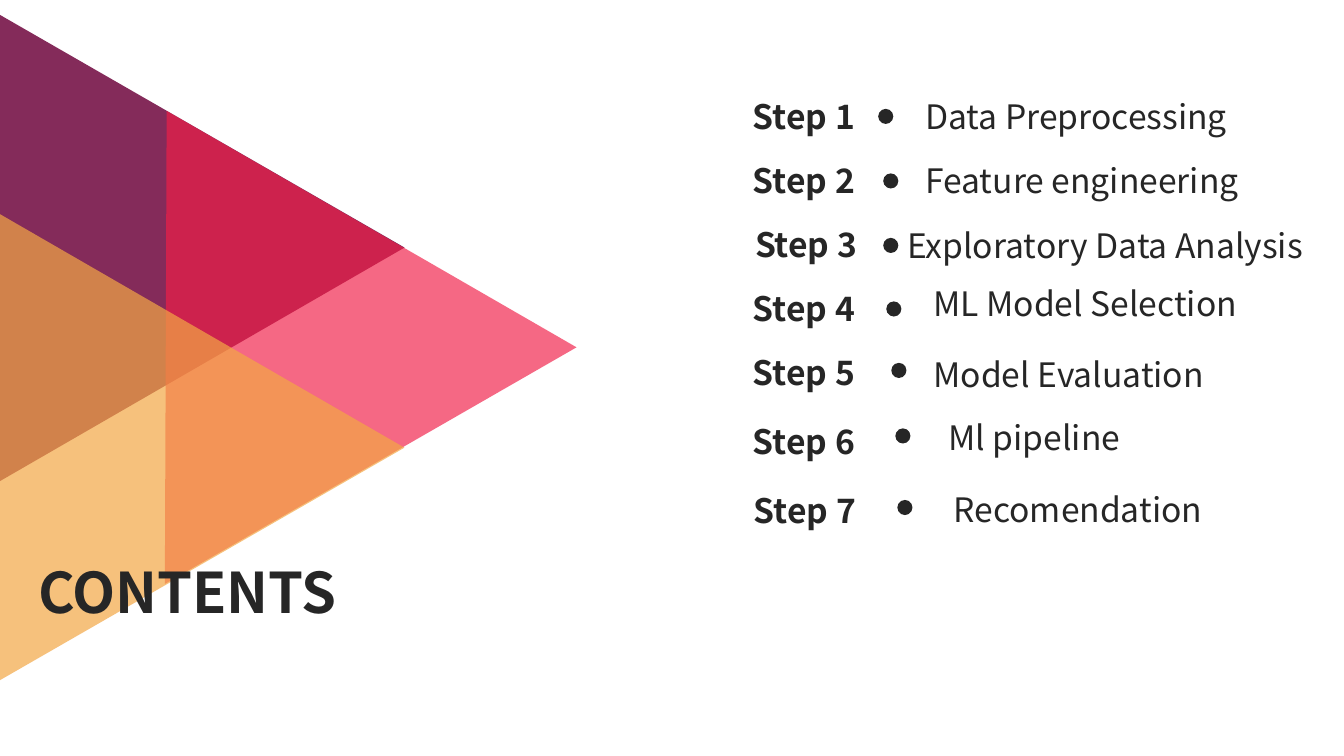
import pptx
import pptx.util
import pptx.dml.color
import pptx.enum.shapes
import pptx.enum.text
import pptx.oxml
import pptx.oxml.ns
from lxml import etree

Inches = pptx.util.Inches
RGBColor = pptx.dml.color.RGBColor
MSO_SHAPE = pptx.enum.shapes.MSO_SHAPE
PP_ALIGN = pptx.enum.text.PP_ALIGN

INK = RGBColor(0x26, 0x26, 0x26)
PLUM = RGBColor(0x84, 0x2B, 0x5A)
CRIMSON = RGBColor(0xF1, 0x1F, 0x48)
AMBER = RGBColor(0xF3, 0xA7, 0x45)

TRIANGLES = [
    (-1.34, -0.13, 4.66, 4.02, 330, PLUM, 100),
    (0.31, 0.83, 4.71, 4.06, 330.1, CRIMSON, 67),
    (-1.34, 1.85, 4.66, 4.02, 330.1, AMBER, 70),
]

STEPS = [
    ("Data Preprocessing", (7.37, 0.9), (8.71, 1.08), (9.08, 0.9)),
    ("Feature engineering", (7.37, 1.54), (8.76, 1.72), (9.08, 1.54)),
    ("Exploratory Data Analysis", (7.39, 2.17), (8.76, 2.36), (8.9, 2.18)),
    ("ML Model Selection", (7.37, 2.81), (8.79, 2.99), (9.16, 2.76)),
    ("Model Evaluation", (7.37, 3.44), (8.84, 3.6), (9.16, 3.46)),
    ("Ml pipeline", (7.37, 4.13), (8.88, 4.25), (9.31, 4.09)),
    ("Recomendation", (7.38, 4.81), (8.9, 4.96), (9.36, 4.8)),
]


class Deck:
    """Holds the text style and the current slide, and draws its elements."""

    font = "Noto Sans CJK SC"
    dot_size = 0.15

    def __init__(self, width, height):
        self.prs = pptx.Presentation()
        self.prs.slide_width = Inches(width)
        self.prs.slide_height = Inches(height)
        self.s = self.prs.slides.add_slide(self.prs.slide_layouts[6])

    def shape(self, kind, x, y, w, h, color):
        sp = self.s.shapes.add_shape(kind, Inches(x), Inches(y), Inches(w), Inches(h))
        sp.shadow.inherit = False
        sp.fill.solid()
        sp.fill.fore_color.rgb = color
        sp.line.fill.background()
        return sp

    def triangle(self, x, y, w, h, angle, color, opacity):
        sp = self.shape(MSO_SHAPE.ISOSCELES_TRIANGLE, x, y, w, h, color)
        sp.rotation = angle
        if opacity < 100:
            qn = pptx.oxml.ns.qn
            clr = sp.fill._xPr.find(qn("a:solidFill")).find(qn("a:srgbClr"))
            etree.SubElement(clr, qn("a:alpha")).set("val", str(opacity * 1000))

    def dot(self, x, y):
        self.shape(MSO_SHAPE.FLOWCHART_CONNECTOR, x, y, self.dot_size, self.dot_size, INK)

    def text(self, text, x, y, w, h=0.5, size=24, bold=False, align=PP_ALIGN.LEFT):
        tf = self.s.shapes.add_textbox(Inches(x), Inches(y), Inches(w), Inches(h)).text_frame
        tf.word_wrap = True
        p = tf.paragraphs[0]
        p.alignment = align
        r = p.add_run()
        r.text = text
        r.font.name = self.font
        r.font.size = pptx.util.Pt(size)
        r.font.bold = bold
        r.font.color.rgb = INK


def main():
    deck = Deck(13.33, 7.5)
    for triangle in TRIANGLES:
        deck.triangle(*triangle)
    deck.text("CONTENTS", 0.28, 5.48, 5.73, 0.77, size=40, bold=True, align=PP_ALIGN.JUSTIFY)
    for number, (topic, label_at, dot_at, topic_at) in enumerate(STEPS, 1):
        deck.text(f"Step {number}", *label_at, 1.34, bold=True)
        deck.dot(*dot_at)
        deck.text(topic, *topic_at, 13.33 - topic_at[0])
    deck.prs.save("out.pptx")


if __name__ == "__main__":
    main()
